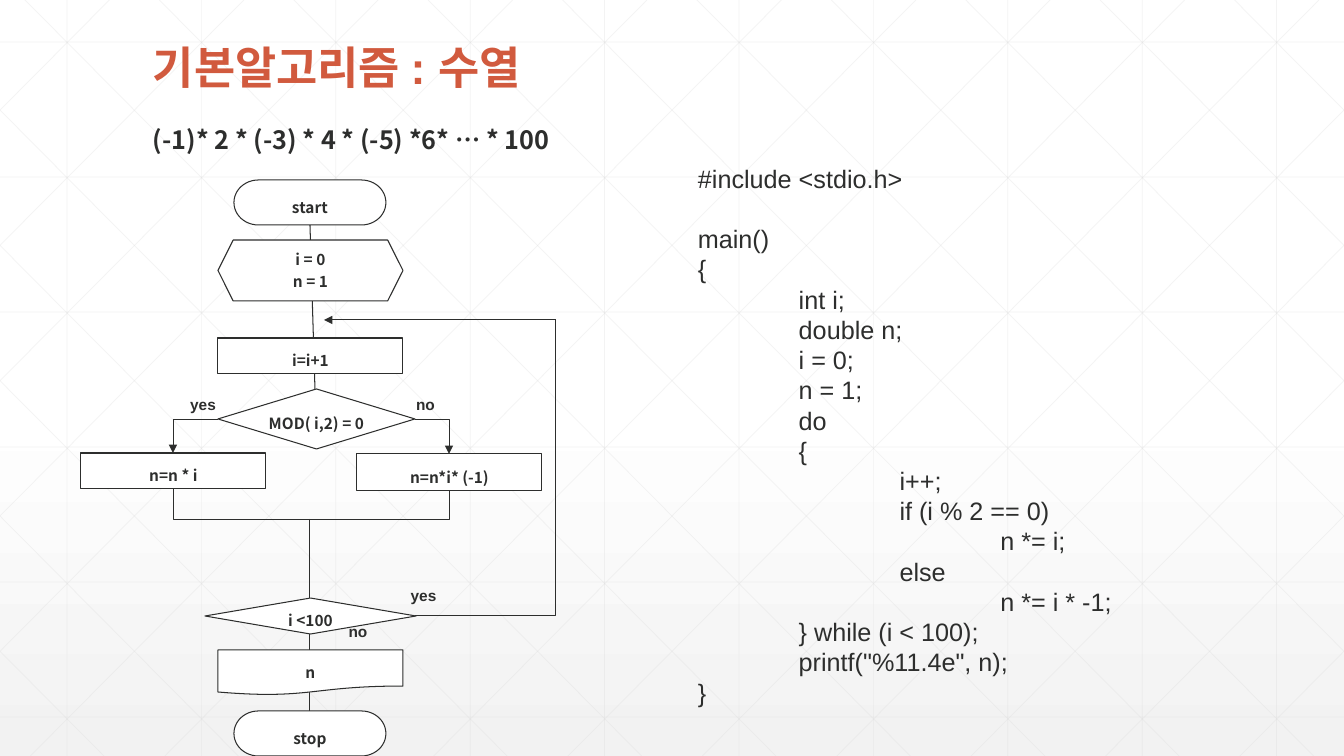
import dataclasses

import lxml.etree
import pptx
import pptx.dml.color
import pptx.enum.shapes
import pptx.enum.text
import pptx.oxml.ns
import pptx.util

SCALE = 914400 / 100.8
SHAPE = pptx.enum.shapes.MSO_SHAPE
ALIGN = pptx.enum.text.PP_ALIGN
ANCHOR = pptx.enum.text.MSO_ANCHOR
qn = pptx.oxml.ns.qn


@dataclasses.dataclass(frozen=True)
class Theme:
    ink: str = "2D2E2D"
    accent: str = "D15A3E"
    paper: str = "FFFFFF"
    shade: str = "F2F2F2"
    grid: str = "D9D9D9"
    latin: str = "Arial"
    korean: str = "Noto Sans CJK KR"
    title_size: int = 32
    body_size: int = 18
    node_size: int = 11
    line_width: float = 0.75
    thin_width: float = 0.5


THEME = Theme()


def px(length):
    return pptx.util.Emu(round(length * SCALE))


def rgb(value):
    return pptx.dml.color.RGBColor.from_string(value)


def assign(target, values):
    for name, value in values.items():
        setattr(target, name, value)


def write(frame, lines, size, face, color=THEME.ink, bold=True, **layout):
    for index, line in enumerate(lines):
        paragraph = frame.paragraphs[0] if index == 0 else frame.add_paragraph()
        assign(paragraph, layout)
        run = paragraph.add_run()
        run.text = line
        assign(run.font, {"size": pptx.util.Pt(size), "bold": bold, "name": face})
        run.font.color.rgb = rgb(color)
        east_asian = lxml.etree.SubElement(run.font._element, qn("a:ea"))
        east_asian.set("typeface", THEME.korean)


def text_box(slide, box, wrap=True, anchor=ANCHOR.TOP):
    frame = slide.shapes.add_textbox(*map(px, box)).text_frame
    assign(frame, {"word_wrap": wrap, "vertical_anchor": anchor})
    return frame


def link(slide, start, end, color=THEME.ink, width=THEME.line_width,
         elbow=False, arrow=False, alpha=None):
    connector = slide.shapes.add_connector(
        pptx.enum.shapes.MSO_CONNECTOR.STRAIGHT, *map(px, (*start, *end)))
    connector.line.width = pptx.util.Pt(width)
    connector.line.color.rgb = rgb(color)
    properties = connector._element.spPr
    if elbow:
        properties.find(qn("a:prstGeom")).set("prst", "bentConnector2")
    if alpha:
        tint = properties.find(".//" + qn("a:srgbClr"))
        lxml.etree.SubElement(tint, qn("a:alpha")).set("val", str(alpha * 1000))
    if arrow:
        outline = properties.find(qn("a:ln"))
        lxml.etree.SubElement(outline, qn("a:tailEnd")).set("type", "triangle")
    lxml.etree.SubElement(properties, qn("a:effectLst"))


def draw_backdrop(slide, box):
    left, top, width, height = box
    fill = slide.background.fill
    fill.gradient()
    fill.gradient_angle = 270
    stops = ((0.53, THEME.paper), (1, THEME.shade))
    for stop, (position, color) in zip(fill.gradient_stops, stops):
        stop.position = position
        stop.color.rgb = rgb(color)

    pitch = 134.4
    rules = [((67 + pitch * i, 0), (67 + pitch * i, height)) for i in range(10)]
    rules += [((0, 42 + 135 * i), (width, 42 + 135 * i)) for i in range(6)]
    slope = height / 751
    for i in range(-5, 10):
        origin = 25 + pitch * i
        near = max(origin, 0)
        far = min(origin + 751, width)
        ends = [(x, (x - origin) * slope) for x in (near, far)]
        rules += [ends, [(width - x, y) for x, y in ends]]
    for start, end in rules:
        link(slide, (left + start[0], top + start[1]), (left + end[0], top + end[1]),
             color=THEME.grid, width=THEME.thin_width, alpha=30)


def draw_heading(slide, box):
    left, top, width, height = box
    title = text_box(slide, (left, top, width, 61), anchor=ANCHOR.MIDDLE)
    write(title, ["기본알고리즘 : 수열"], THEME.title_size, THEME.latin,
          THEME.accent, line_spacing=0.9)
    series = text_box(slide, (left, top + 65, width, height - 65))
    write(series, ["(-1)* 2 * (-3) * 4 * (-5) *6* … * 100"], THEME.body_size,
          THEME.korean, line_spacing=1.5, space_before=pptx.util.Pt(3.6))


def draw_flowchart(slide, box):
    left, top = box[:2]

    def at(x, y):
        return left + x, top + y

    link(slide, at(229, 339), at(229, 573))
    link(slide, at(229, 45), at(234, 209))

    nodes = [
        (SHAPE.FLOWCHART_TERMINATOR, (153, 0, 152, 45), ["start"]),
        (SHAPE.FLOWCHART_TERMINATOR, (153, 531, 152, 45), ["stop"]),
        (SHAPE.RECTANGLE, (137, 158, 185, 36), ["i=i+1"]),
        (SHAPE.FLOWCHART_DOCUMENT, (137, 470, 185, 45), ["n"]),
        (SHAPE.HEXAGON, (137, 60, 185, 61), ["i = 0", "n = 1"]),
        (SHAPE.DIAMOND, (137, 209, 197, 60), ["MOD( i,2) = 0"]),
        (SHAPE.DIAMOND, (124, 418, 211, 36), ["i <100"]),
        (SHAPE.RECTANGLE, (0, 273, 185, 36), ["n=n * i"]),
        (SHAPE.RECTANGLE, (276, 274, 185, 37), ["n=n*i* (-1)"]),
    ]
    for outline, (x, y, width, height), lines in nodes:
        node = slide.shapes.add_shape(outline, *map(px, (*at(x, y), width, height)))
        node.shadow.inherit = False
        node.fill.solid()
        node.fill.fore_color.rgb = rgb(THEME.paper)
        node.line.color.rgb = rgb(THEME.ink)
        node.line.width = pptx.util.Pt(THEME.line_width)
        assign(node.text_frame, {
            "margin_left": 0, "margin_right": 0, "margin_top": 0, "margin_bottom": 0,
            "vertical_anchor": ANCHOR.MIDDLE, "word_wrap": True})
        write(node.text_frame, lines, THEME.node_size, THEME.korean,
              alignment=ALIGN.CENTER, space_before=pptx.util.Pt(2.2),
              line_spacing=1.5 if len(lines) == 1 else 1.0)

    link(slide, at(334, 436), at(475, 140), elbow=True)
    link(slide, at(475, 140), at(243, 140), arrow=True)
    branches = [
        ((137, 239), (92, 273), True),
        ((334, 239), (368, 274), True),
        ((207, 339), (92, 309), False),
        ((137, 339), (368, 311), False),
    ]
    for start, end, arrow in branches:
        link(slide, at(*start), at(*end), width=THEME.thin_width, elbow=True, arrow=arrow)

    answers = [("no", 255, 437, 44), ("yes", 317, 401, 51),
               ("yes", 99, 210, 46), ("no", 324, 210, 41)]
    for answer, x, y, width in answers:
        frame = text_box(slide, (*at(x, y), width, 31), wrap=False)
        write(frame, [answer], THEME.node_size, THEME.latin, alignment=ALIGN.CENTER)


def draw_code(slide, box):
    frame = text_box(slide, box)
    statements = [
        (0, "#include <stdio.h>"), (0, "main()"), (0, "{"),
        (1, "int i;"), (1, "double n;"), (1, "i = 0;"), (1, "n = 1;"),
        (1, "do"), (1, "{"), (2, "i++;"), (2, "if (i % 2 == 0)"),
        (3, "n *= i;"), (2, "else"), (3, "n *= i * -1;"),
        (1, "} while (i < 100);"), (1, 'printf("%11.4e", n);'), (0, "}"),
    ]
    pitch = pptx.util.Pt(21.6)
    write(frame, [statement for _, statement in statements], THEME.body_size,
          THEME.latin, bold=False, line_spacing=pitch)
    frame.paragraphs[1].space_before = pitch
    for paragraph, (depth, _) in zip(frame.paragraphs, statements):
        paragraph._p.get_or_add_pPr().set("marL", str(pptx.util.Inches(depth)))


deck = pptx.Presentation()
assign(deck, {"slide_width": px(1344), "slide_height": px(756)})
sequence = deck.slides.add_slide(deck.slide_layouts[6])
draw_backdrop(sequence, (0, 0, 1344, 756))
draw_heading(sequence, (143, 39, 1058, 121))
draw_code(sequence, (688, 158, 672, 559))
draw_flowchart(sequence, (81, 180, 476, 576))
deck.save("out.pptx")
